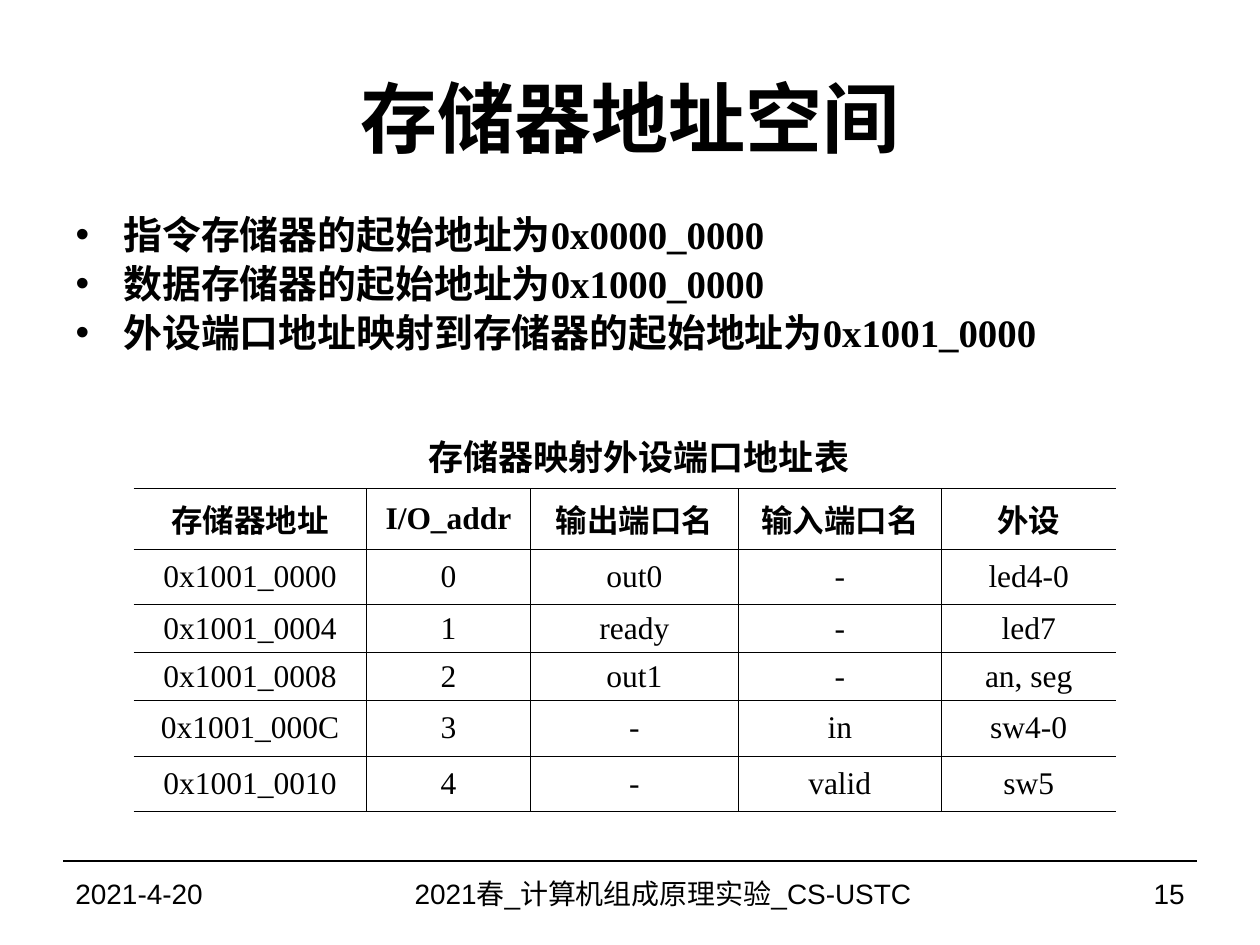
from lxml import etree
from pptx import Presentation
from pptx import util as u
from pptx.dml.color import RGBColor
from pptx.enum import shapes, text
from pptx.oxml import ns

COLORS = {"ink": "000000", "paper": "FFFFFF"}
SANS, SERIF = "Arial", "Times New Roman"
ALIGN, ANCHOR = text.PP_ALIGN, text.MSO_ANCHOR
THIN, THICK = 0.45, 0.75


def sub(parent, tag, **attrs):
    return etree.SubElement(parent, ns.qn(tag), **attrs)


class Deck:
    """Style and current slide; boxes are (x, y, w, h) on a grid of GRID units per inch."""
    GRID = 12

    def __init__(self, width, height):
        self.prs = Presentation()
        self.prs.slide_width, self.prs.slide_height = u.Inches(width), u.Inches(height)

    def new_slide(self):
        self.s = self.prs.slides.add_slide(self.prs.slide_layouts[1])
        fill = self.s.background.fill
        fill.solid()
        fill.fore_color.rgb = self.color("paper")

    def color(self, name):
        return RGBColor.from_string(COLORS[name])

    def grid(self, *units):
        return [u.Inches(n / self.GRID) for n in units]

    def place(self, sp, box):
        sp.left, sp.top, sp.width, sp.height = self.grid(*box)

    def style(self, p, size, font, bold=False, align=ALIGN.LEFT):
        p.alignment = align
        p.font.size, p.font.name, p.font.bold = u.Pt(size), font, bold
        p.font.color.rgb = self.color("ink")

    def title(self, words, box):
        sp = self.s.shapes.title
        self.place(sp, box)
        tf = sp.text_frame
        tf.text = words
        tf.vertical_anchor, tf.auto_size = ANCHOR.MIDDLE, text.MSO_AUTO_SIZE.NONE
        self.style(tf.paragraphs[0], 44, SANS, True, ALIGN.CENTER)

    def bullets(self, items, box):
        sp = self.s.placeholders[1]
        self.place(sp, box)
        tf = sp.text_frame
        tf.text = "\n".join(items)
        tf.auto_size = text.MSO_AUTO_SIZE.NONE
        indent = u.Inches(0.38)
        for i, p in enumerate(tf.paragraphs):
            pPr = p._p.get_or_add_pPr()
            pPr.set("marL", str(indent))
            pPr.set("indent", str(-indent))
            sub(pPr, "a:buFont", typeface=SANS)
            sub(pPr, "a:buChar", char="•")
            p.line_spacing = 0.88
            p.space_before = u.Pt(4.7 if i else 0)
            self.style(p, 22.2, SERIF, True)

    def label(self, words, box, size, font, bold=False, align=ALIGN.LEFT,
              anchor=ANCHOR.MIDDLE, wrap=True):
        tf = self.s.shapes.add_textbox(*self.grid(*box)).text_frame
        tf.text = words
        tf.word_wrap, tf.vertical_anchor = wrap, anchor
        self.style(tf.paragraphs[0], size, font, bold, align)

    def line(self, x1, y1, x2, y2):
        ln = self.s.shapes.add_connector(shapes.MSO_CONNECTOR.STRAIGHT,
                                         *self.grid(x1, y1, x2, y2))
        ln.line.color.rgb, ln.line.width = self.color("ink"), u.Pt(THICK)
        sub(ln._element.spPr, "a:effectLst")

    def border(self, cell, side, width):
        ln = sub(cell._tc.get_or_add_tcPr(), "a:ln" + side, w=str(u.Pt(width)))
        if width:
            sub(sub(ln, "a:solidFill"), "a:srgbClr", val=COLORS["ink"])
        else:
            sub(ln, "a:noFill")

    def table(self, rows, left, top, widths, heights):
        tb = self.s.shapes.add_table(
            len(rows), len(widths), u.Inches(left), u.Inches(top),
            u.Inches(sum(widths)), u.Inches(sum(heights))).table
        tb.first_row = tb.horz_banding = False
        for col, w in zip(tb.columns, widths):
            col.width = u.Inches(w)
        for row, h in zip(tb.rows, heights):
            row.height = u.Inches(h)
        # Open sides; heavier rules around the header, at the foot and before the last column
        across = [THICK, THICK] + [THIN] * (len(rows) - 2) + [THICK]
        down = [0] + [THIN] * (len(widths) - 2) + [THICK, 0]
        for r, values in enumerate(rows):
            for c, value in enumerate(values):
                cell = tb.cell(r, c)
                cell.text = value
                cell.vertical_anchor = ANCHOR.MIDDLE
                cell.margin_top = cell.margin_bottom = u.Inches(0.04)
                self.style(cell.text_frame.paragraphs[0], 18, SERIF, r == 0, ALIGN.CENTER)
                for side, width in zip("LRTB", (down[c], down[c + 1], across[r], across[r + 1])):
                    self.border(cell, side, width)
                cell.fill.background()


def main():
    deck = Deck(10, 7.5)
    deck.new_slide()

    # Heading and base addresses
    deck.title("存储器地址空间", (6, 3.6, 108, 15))
    deck.bullets(["指令存储器的起始地址为0x0000_0000",
                  "数据存储器的起始地址为0x1000_0000",
                  "外设端口地址映射到存储器的起始地址为0x1001_0000"], (6, 20, 108, 16.7))

    # Port address table with its caption
    deck.table([
        ["存储器地址", "I/O_addr", "输出端口名", "输入端口名", "外设"],
        ["0x1001_0000", "0", "out0", "-", "led4-0"],
        ["0x1001_0004", "1", "ready", "-", "led7"],
        ["0x1001_0008", "2", "out1", "-", "an, seg"],
        ["0x1001_000C", "3", "-", "in", "sw4-0"],
        ["0x1001_0010", "4", "-", "valid", "sw5"],
    ], 1.06, 3.88, [1.85, 1.3, 1.65, 1.61, 1.39], [0.48, 0.44, 0.38, 0.38, 0.44, 0.44])
    deck.label("存储器映射外设端口地址表", (39.6, 40.9, 42.5, 5.3), 20, SERIF, True,
               ALIGN.CENTER, ANCHOR.TOP, wrap=False)

    # Footer
    deck.line(6, 82, 114, 82)
    for words, x, w, align in [
            ("2021-4-20", 6, 28, ALIGN.LEFT),
            ("2021春_计算机组成原理实验_CS-USTC ", 34, 59, ALIGN.CENTER),
            ("15", 93, 21, ALIGN.RIGHT)]:
        deck.label(words, (x, 82, w, 6.2), 16, SANS, align=align)

    deck.prs.save("out.pptx")


if __name__ == "__main__":
    main()
